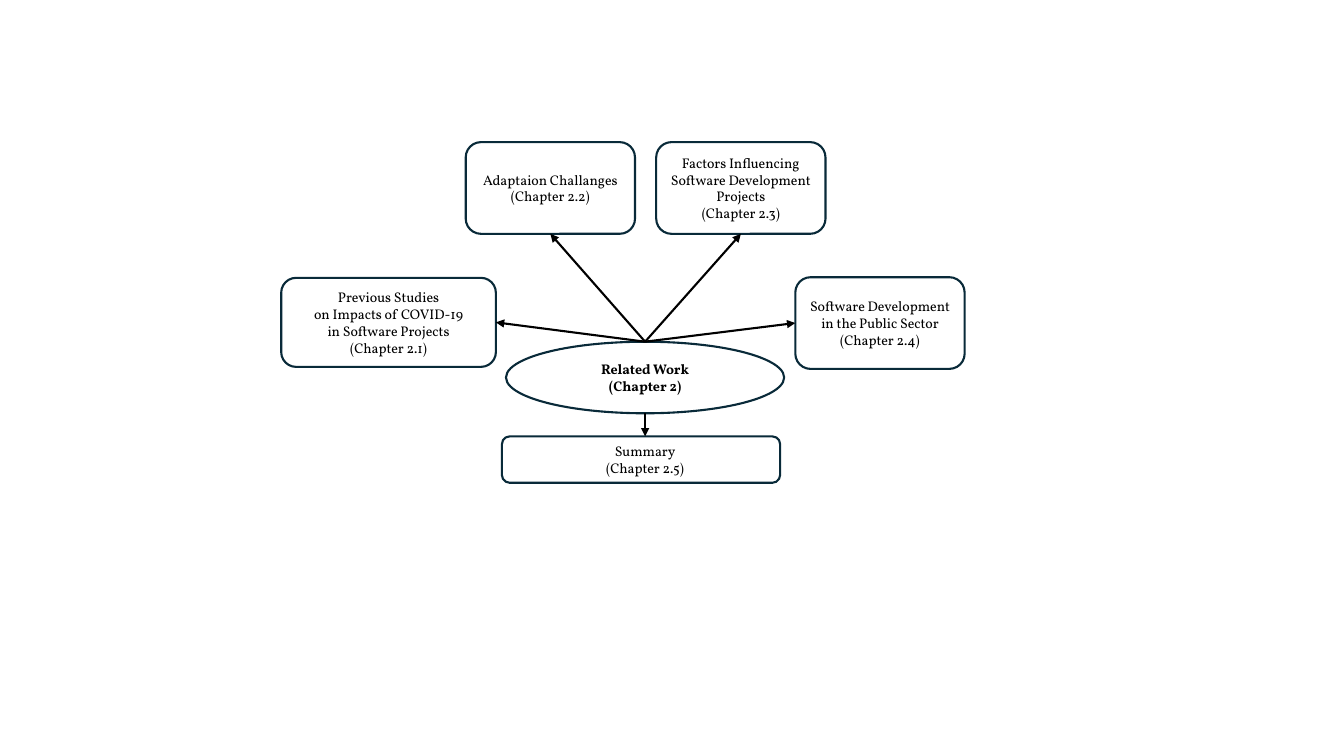
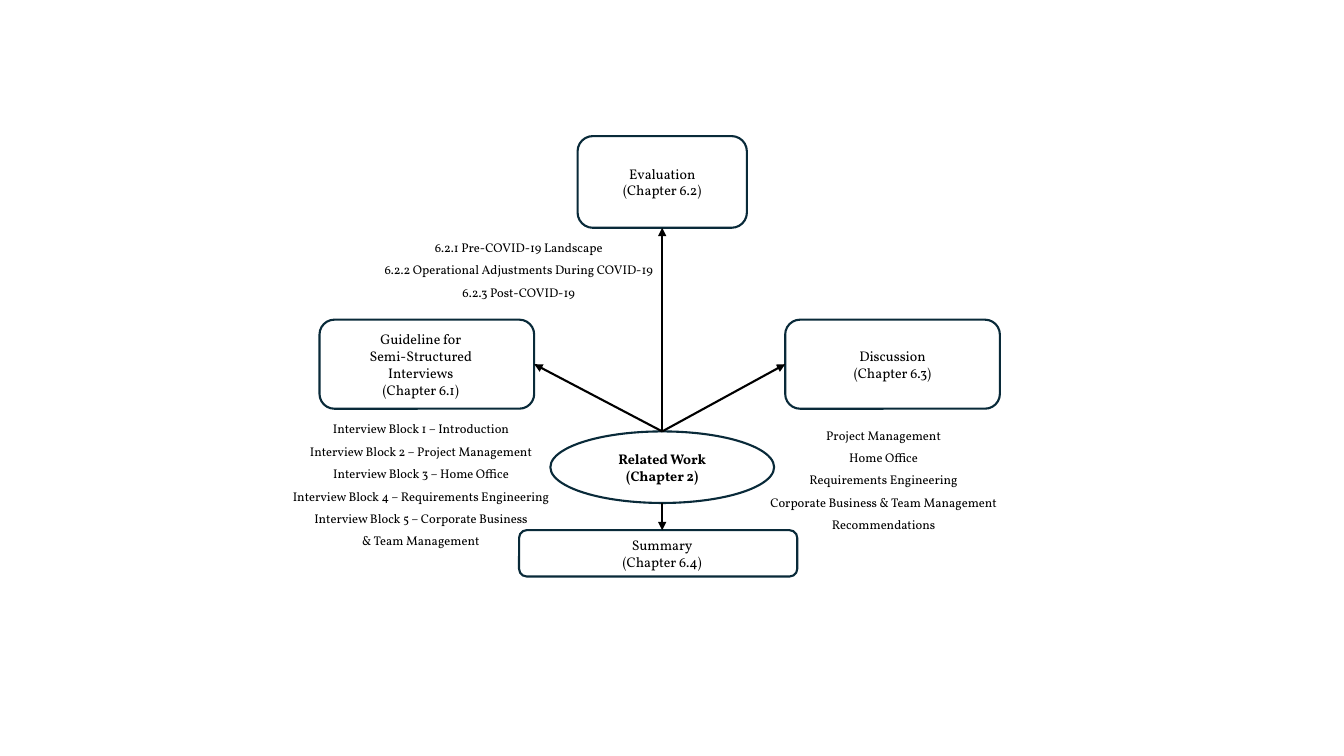
from lxml import etree
from pptx import Presentation
from pptx import util as u
from pptx.dml.color import RGBColor
from pptx.enum import shapes, text
from pptx.oxml import ns

COLS, ROWS = 160, 90
CELL = u.Pt(6)
NAVY = RGBColor(0x09, 0x2A, 0x39)
BLACK = RGBColor(0, 0, 0)
FONT = "Vollkorn"
STROKE = u.Pt(1.5)
KIND = shapes.MSO_SHAPE
TOP, LEFT, BASE, RIGHT = range(4)
SMALL, WIDE, FLAT = (20.16, 10.92), (25.56, 10.6), (33.12, 5.52)
HUB_H = 8.52
SUM_X = -0.48


def grid(*cells):
    return [round(cell * CELL) for cell in cells]


def write(frame, lines, size, bold=False):
    frame.word_wrap = True
    frame.text = "\n".join(lines)
    for par in frame.paragraphs:
        par.alignment = text.PP_ALIGN.CENTER
        for run in par.runs:
            run.font.name = FONT
            run.font.size = u.Pt(size)
            run.font.bold = bold
            run.font.color.rgb = BLACK


def node(slide, kind, box, lines, bold=False, shift=0):
    shape = slide.shapes.add_shape(kind, *grid(*box))
    shape.shadow.inherit = False
    shape.fill.background()
    shape.line.color.rgb = NAVY
    shape.line.width = STROKE
    frame = shape.text_frame
    frame.vertical_anchor = text.MSO_ANCHOR.MIDDLE
    frame.margin_top = frame.margin_bottom = 0
    frame.margin_left, frame.margin_right = grid(max(2 * shift, 0), max(-2 * shift, 0))
    write(frame, lines, 10, bold)
    return shape


def arrow(slide, start, end):
    link = slide.shapes.add_connector(
        shapes.MSO_CONNECTOR.STRAIGHT, *grid(*start, *end))
    link.line.color.rgb = BLACK
    link.line.width = STROKE
    tip = etree.SubElement(link.line._get_or_add_ln(), ns.qn("a:tailEnd"))
    tip.set("type", "triangle")
    etree.SubElement(link._element.spPr, ns.qn("a:effectLst"))
    return link


def listing(slide, box, lines):
    frame = slide.shapes.add_textbox(*grid(*box)).text_frame
    write(frame, lines, 9)
    for par in frame.paragraphs:
        par.line_spacing = u.Pt(16)


def diagram(slide, tip, width, nodes, end, drop):
    x, y = tip
    hub = node(slide, KIND.OVAL, (x - width / 2, y, width, HUB_H),
               ["Related Work", "(Chapter 2)"], bold=True)
    for dx, dy, (wide, high), side, shift, lines in nodes:
        part = node(slide, KIND.ROUNDED_RECTANGLE,
                    (x + dx - wide / 2, y + dy, wide, high), lines, shift=shift)
        link = arrow(slide, tip, tip)
        link.begin_connect(hub, TOP)
        link.end_connect(part, side)
    wide, high = FLAT
    node(slide, KIND.ROUNDED_RECTANGLE,
         (x + SUM_X - wide / 2, y + drop, wide, high),
         ["Summary", end], shift=-SUM_X)
    arrow(slide, (x, y + HUB_H), (x, y + drop))


def related(slide):
    diagram(slide, (76.8, 40.68), 33.12, [
        (-30.54, -7.6, WIDE, RIGHT, 0,
         ["Previous Studies", "on Impacts of COVID-19",
          "in Software Projects", "(Chapter 2.1)"]),
        (-11.28, -23.76, SMALL, BASE, 0,
         ["Adaptaion Challanges", "(Chapter 2.2)"]),
        (11.4, -23.76, SMALL, BASE, 0,
         ["Factors Influencing", "Software Development",
          "Projects", "(Chapter 2.3)"]),
        (27.96, -7.68, SMALL, LEFT, 0,
         ["Software Development", "in the Public Sector", "(Chapter 2.4)"]),
    ], "(Chapter 2.5)", 11.28)


def results(slide):
    diagram(slide, (78.84, 51.36), 26.64, [
        (-28.02, -13.3, WIDE, RIGHT, -0.72,
         ["Guideline for", "Semi-Structured", "Interviews", "(Chapter 6.1)"]),
        (0, -35.16, SMALL, BASE, 0, ["Evaluation", "(Chapter 6.2)"]),
        (27.42, -13.3, WIDE, LEFT, 0, ["Discussion", "(Chapter 6.3)"]),
    ], "(Chapter 6.4)", 11.76)
    listing(slide, (41.88, 27.12, 39.72, 9.12), [
        "6.2.1 Pre-COVID-19 Landscape",
        "6.2.2 Operational Adjustments During COVID-19",
        "6.2.3 Post-COVID-19"])
    listing(slide, (85.32, 49.44, 39.72, 14.4), [
        "Project Management", "Home Office", "Requirements Engineering",
        "Corporate Business & Team Management", "Recommendations"])
    listing(slide, (27.84, 48.72, 44.52, 17.16), [
        "Interview Block 1 – Introduction",
        "Interview Block 2 – Project Management",
        "Interview Block 3 – Home Office",
        "Interview Block 4 – Requirements Engineering",
        "Interview Block 5 – Corporate Business",
        "& Team Management"])


def main():
    deck = Presentation()
    deck.slide_width, deck.slide_height = grid(COLS, ROWS)
    for build in (related, results):
        build(deck.slides.add_slide(deck.slide_layouts[6]))
    deck.save("out.pptx")


if __name__ == "__main__":
    main()
